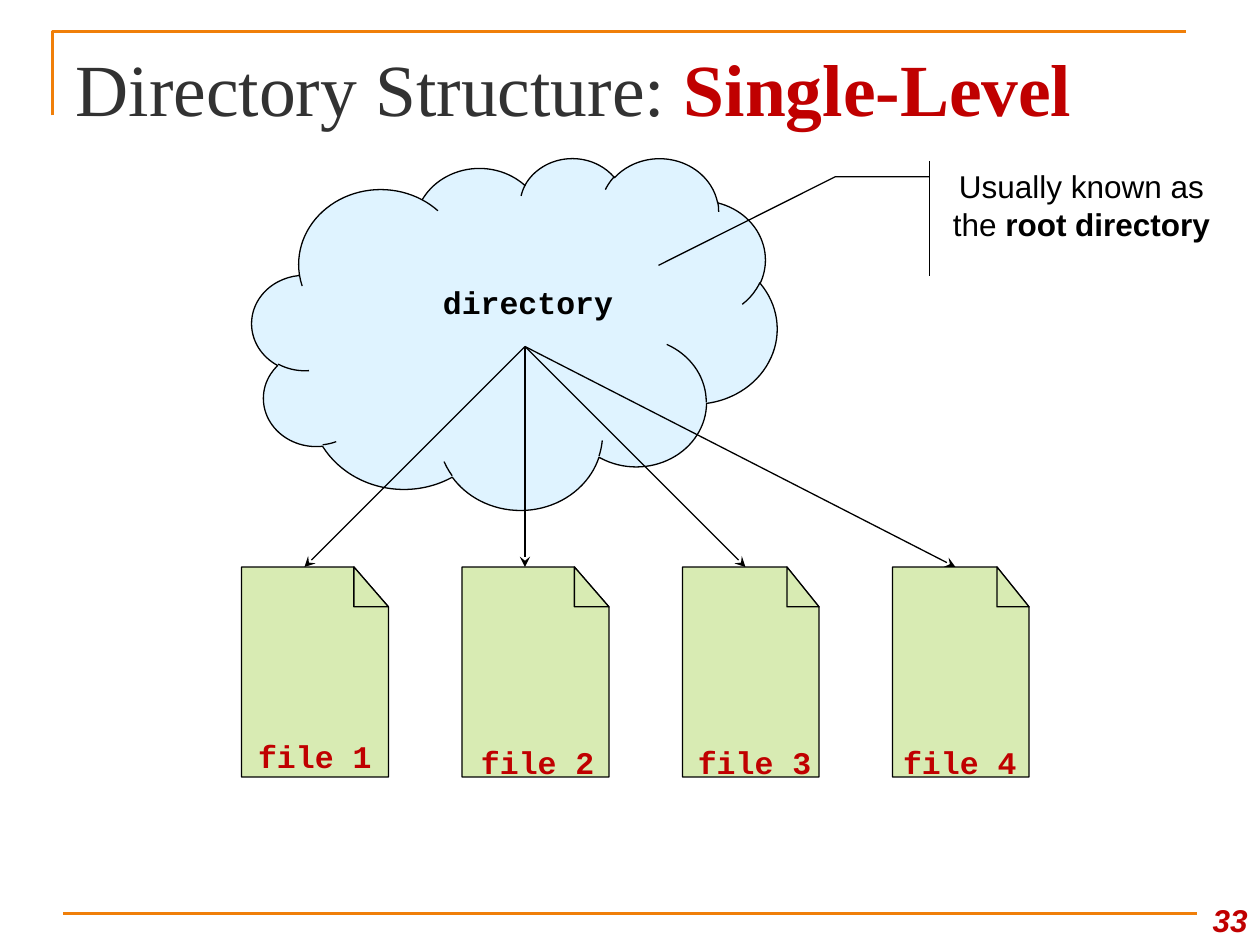
from pptx import Presentation
from pptx.dml.color import RGBColor
from pptx.enum.shapes import MSO_CONNECTOR, MSO_SHAPE
from pptx.enum.text import MSO_ANCHOR, MSO_AUTO_SIZE, PP_ALIGN
from pptx.oxml.ns import qn
from pptx.util import Pt
from lxml.etree import SubElement

BLACK = RGBColor(0x00, 0x00, 0x00)
CHARCOAL = RGBColor(0x32, 0x32, 0x32)
RED = RGBColor(0xC0, 0x00, 0x00)
ORANGE = RGBColor(0xF0, 0x7F, 0x09)
SKY = RGBColor(0xDF, 0xF3, 0xFF)
GREEN = RGBColor(0xD8, 0xEB, 0xB3)

TITLE = {"name": "Times New Roman", "size": Pt(42), "bold": False}
CODE = {"name": "Courier New", "size": Pt(18), "bold": True}
NOTE = {"name": "Arial", "size": Pt(18), "bold": False}
STRONG = {"bold": True}
NUMBER = {**NOTE, "bold": True, "italic": True}

# page left, page width, label left, label top, arrow tip x
FILES = [
    (138, 84, 140.4, 417.6, 174),
    (264, 84, 267.8, 421.2, 300),
    (390, 78, 391.7, 421.2, 426),
    (510, 78, 509, 421.2, 546),
]
PAGE_TOP, PAGE_HEIGHT = 324, 120
HUB = (300, 198)


def write(text_frame, runs, align=PP_ALIGN.LEFT, anchor=MSO_ANCHOR.TOP, wrap=True):
    """Fill the first paragraph with (text, format, colour) runs."""
    frame_format = {"word_wrap": wrap, "vertical_anchor": anchor,
                    "auto_size": MSO_AUTO_SIZE.NONE}
    for name, value in frame_format.items():
        setattr(text_frame, name, value)
    paragraph = text_frame.paragraphs[0]
    paragraph.alignment = align
    for text, font_format, colour in runs:
        run = paragraph.add_run()
        run.text = text
        for name, value in font_format.items():
            setattr(run.font, name, value)
        run.font.color.rgb = colour


def add_label(slide, box, text, font_format, colour, **layout):
    label = slide.shapes.add_textbox(*map(Pt, box))
    write(label.text_frame, [(text, font_format, colour)], **layout)


def paint(shape, fill, line=BLACK, width=0.75):
    shape.shadow.inherit = False
    if fill is None:
        shape.fill.background()
    else:
        shape.fill.solid()
        shape.fill.fore_color.rgb = fill
    shape.line.color.rgb = line
    shape.line.width = Pt(width)


def add_outline(slide, points, close=True):
    corners = [(Pt(x), Pt(y)) for x, y in points]
    builder = slide.shapes.build_freeform(*corners[0])
    builder.add_line_segments(corners[1:], close=close)
    return builder.convert_to_shape()


def add_line(slide, start, end, colour=BLACK, width=0.75, arrow=False):
    line = slide.shapes.add_connector(
        MSO_CONNECTOR.STRAIGHT, *map(Pt, (*start, *end)))
    line.line.color.rgb = colour
    line.line.width = Pt(width)
    if arrow:
        SubElement(line.line._get_or_add_ln(), qn("a:tailEnd"), type="stealth")
    SubElement(line._element.spPr, qn("a:effectLst"))


def add_frame(slide, left, top, width, drop):
    corner = add_outline(
        slide, [(left, top + drop), (left, top), (left + width, top)], close=False)
    paint(corner, None, ORANGE, 1.5)
    add_line(slide, (36, 522), (684, 522), ORANGE, 1.5)


def add_title(slide, left, top, width, height):
    title = slide.shapes.title
    box = {"left": left, "top": top, "width": width, "height": height}
    for name, value in box.items():
        setattr(title, name, Pt(value))
    write(title.text_frame,
          [("Directory Structure: ", TITLE, CHARCOAL),
           ("Single-Level", {**TITLE, **STRONG}, RED)],
          anchor=MSO_ANCHOR.MIDDLE)


def add_directory(slide, left, top, width, height):
    cloud = slide.shapes.add_shape(
        MSO_SHAPE.CLOUD, *map(Pt, (left, top, width, height)))
    paint(cloud, SKY)
    add_label(slide, (left + 102, top + 68, 120, 29), "directory", CODE, BLACK)


def add_page(slide, left, top, width, height):
    """Draw a sheet with its top right corner folded over."""
    right, bottom = left + width, top + height
    fold_x, fold_y = left + 0.765 * width, top + 0.19 * height
    sheet = [(left, top), (fold_x, top), (right, fold_y),
             (right, bottom), (left, bottom)]
    fold = [(right, fold_y), (fold_x, fold_y), (fold_x, top)]
    for points in (sheet, fold):
        paint(add_outline(slide, points), GREEN)


def add_files(slide, top, height):
    for number, file in enumerate(FILES, 1):
        left, width, label_left, label_top, tip = file
        add_page(slide, left, top, width, height)
        add_label(slide, (label_left, label_top, 80, 29), f"file {number}",
                  CODE, RED, wrap=False)
        add_line(slide, HUB, (tip, top), arrow=True)


def add_root_note(slide, left, top, width, height):
    callout = slide.shapes.add_shape(
        MSO_SHAPE.LINE_CALLOUT_2_ACCENT_BAR, *map(Pt, (left, top, width, height)))
    for index, value in enumerate((0.136, -0.037, 0.136, -0.368, 0.904, -0.992)):
        callout.adjustments[index] = value
    paint(callout, None)
    write(callout.text_frame,
          [("Usually known as the ", NOTE, BLACK),
           ("root directory", {**NOTE, **STRONG}, BLACK)],
          align=PP_ALIGN.CENTER)


def main():
    presentation = Presentation()
    presentation.slide_width, presentation.slide_height = Pt(720), Pt(540)
    slide = presentation.slides.add_slide(presentation.slide_layouts[5])
    add_frame(slide, 30, 18, 648, 48)
    add_title(slide, 36, 21.6, 648, 56)
    add_directory(slide, 144, 90, 300, 201)
    add_files(slide, PAGE_TOP, PAGE_HEIGHT)
    add_root_note(slide, 537, 92, 162, 66)
    add_label(slide, (678, 504, 42, 36), "33", NUMBER, RED,
              align=PP_ALIGN.RIGHT, anchor=MSO_ANCHOR.BOTTOM)
    presentation.save("out.pptx")


if __name__ == "__main__":
    main()
